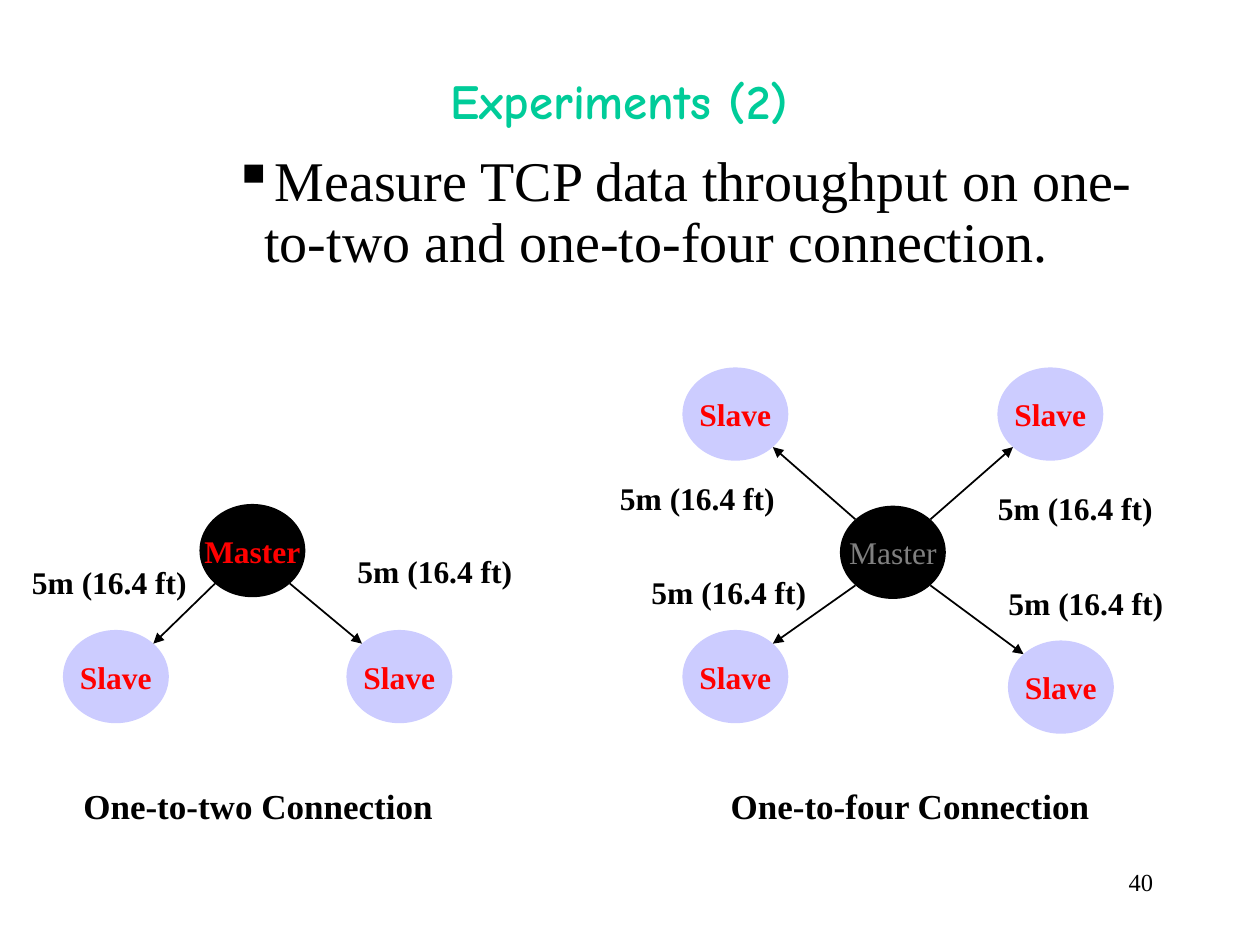
"""Build the slide on one-to-two and one-to-four throughput experiments."""
import dataclasses
import math

import pptx
import pptx.dml.color
import pptx.enum.shapes
import pptx.enum.text
import pptx.oxml
import pptx.oxml.ns
import pptx.util

Pt = pptx.util.Pt
Align = pptx.enum.text.PP_ALIGN
Anchor = pptx.enum.text.MSO_ANCHOR


@dataclasses.dataclass(frozen=True)
class Theme:
    """Colours, fonts and sizes used on the slide."""
    ink: str = "000000"
    title: str = "00CC99"
    slave: str = "CCCCFF"
    node_text: str = "FF0000"
    muted: str = "808080"
    title_font: str = "Comic Neue"
    body_font: str = "Times New Roman"
    title_size: float = 28
    body_size: float = 32
    caption_size: float = 20
    label_size: float = 18
    number_size: float = 14


THEME = Theme()
NODE = (60.5, 53.3)
LABEL = (103, 28.8)
CAPTION = (220, 31.7)


def rgb(code):
    """Return the colour for a hex code."""
    return pptx.dml.color.RGBColor.from_string(code)


def write(holder, words, size, color=THEME.ink, bold=False, font=THEME.body_font,
          align=Align.CENTER, anchor=Anchor.TOP, wrap=False):
    """Put one formatted paragraph into a shape and return the paragraph."""
    frame = holder.text_frame
    frame.text = words
    frame.word_wrap = wrap
    frame.vertical_anchor = anchor
    paragraph = frame.paragraphs[0]
    paragraph.alignment = align
    style = paragraph.runs[0].font
    style.name, style.size, style.bold = font, Pt(size), bold
    style.color.rgb = rgb(color)
    return paragraph


def add_text(slide, box, words, size, **style):
    """Add a text box in the given box and return its paragraph."""
    holder = slide.shapes.add_textbox(*map(Pt, box))
    return write(holder, words, size, **style)


def add_title(slide, box):
    """Add the slide title."""
    add_text(slide, box, "Experiments (2)", THEME.title_size, color=THEME.title,
             bold=True, font=THEME.title_font, anchor=Anchor.MIDDLE, wrap=True)


def add_statement(slide, box):
    """Add the bulleted statement of the experiment."""
    statement = add_text(
        slide, box, "Measure TCP data throughput on one-to-two and one-to-four connection.",
        THEME.body_size, align=Align.LEFT, wrap=True)
    statement.line_spacing = 0.9
    statement.space_before = Pt(8)
    properties = statement._p.get_or_add_pPr()
    properties.set("marL", str(Pt(90)))
    properties.set("indent", str(Pt(-18)))
    bullet = pptx.oxml.parse_xml(
        f'<a:buChar {pptx.oxml.ns.nsdecls("a")} char="▪"/>')
    properties.append(bullet)


def add_node(slide, left, top, words, fill, color, bold=True):
    """Add one device as a filled ellipse."""
    node = slide.shapes.add_shape(
        pptx.enum.shapes.MSO_SHAPE.OVAL, *map(Pt, (left, top, *NODE)))
    node.shadow.inherit = False
    node.fill.solid()
    node.fill.fore_color.rgb = rgb(fill)
    node.line.fill.background()
    write(node, words, THEME.label_size, color=color, bold=bold, anchor=Anchor.MIDDLE)


def add_link(slide, master, slave):
    """Draw an arrow between the facing diagonal points of two nodes."""
    start, end = [], []
    for master_edge, slave_edge, length in zip(master, slave, NODE):
        reach = math.copysign(length / 2 * math.sqrt(0.5), slave_edge - master_edge)
        start.append(master_edge + length / 2 + reach)
        end.append(slave_edge + length / 2 - reach)
    link = slide.shapes.add_connector(
        pptx.enum.shapes.MSO_CONNECTOR.STRAIGHT, *map(Pt, start + end))
    link.line.color.rgb = rgb(THEME.ink)
    link.line.width = Pt(1)
    namespace = pptx.oxml.ns.nsdecls("a")
    link.line._get_or_add_ln().append(
        pptx.oxml.parse_xml(f'<a:tailEnd {namespace} type="triangle"/>'))
    link._element.spPr.append(pptx.oxml.parse_xml(f"<a:effectLst {namespace}/>"))


def add_network(slide, box, caption, caption_center, master, slaves, labels,
                master_color=THEME.node_text, master_bold=True):
    """Draw a master, its linked slaves, the distances and a caption."""
    left, top, _, height = box

    def place(point):
        """Move a point of the box onto the slide."""
        return left + point[0], top + point[1]

    add_node(slide, *place(master), "Master", THEME.ink, master_color, master_bold)
    for slave in slaves:
        add_node(slide, *place(slave), "Slave", THEME.slave, THEME.node_text)
    for slave in slaves:
        add_link(slide, place(master), place(slave))
    for label in labels:
        add_text(slide, (*place(label), *LABEL), "5m (16.4 ft)",
                 THEME.label_size, bold=True)
    corner = place((caption_center - CAPTION[0] / 2, height - CAPTION[1]))
    add_text(slide, (*corner, *CAPTION), caption, THEME.caption_size, bold=True)


def add_page_number(slide, box):
    """Add the page number."""
    add_text(slide, box, "40", THEME.number_size, align=Align.RIGHT, wrap=True)


def main():
    """Build and save the slide."""
    deck = pptx.Presentation()
    deck.slide_width, deck.slide_height = Pt(720), Pt(540)
    slide = deck.slides.add_slide(deck.slide_layouts[6])
    add_page_number(slide, (516, 492, 150, 36))
    add_title(slide, (48, 12, 612, 90))
    add_statement(slide, (54, 84, 612, 84))
    add_network(
        slide, (10, 288, 291, 188.7), "One-to-two Connection", 137.5,
        master=(104, 0), slaves=[(188, 72), (26, 72)],
        labels=[(187, 24), (1, 30)])
    add_network(
        slide, (347, 210, 325, 266.7), "One-to-four Connection", 173,
        master=(133, 79),
        slaves=[(229, 156), (43, 150), (223, 0), (43, 0)],
        labels=[(0, 60), (216, 66), (18, 114), (222, 120)],
        master_color=THEME.muted, master_bold=False)
    deck.save("out.pptx")


if __name__ == "__main__":
    main()
